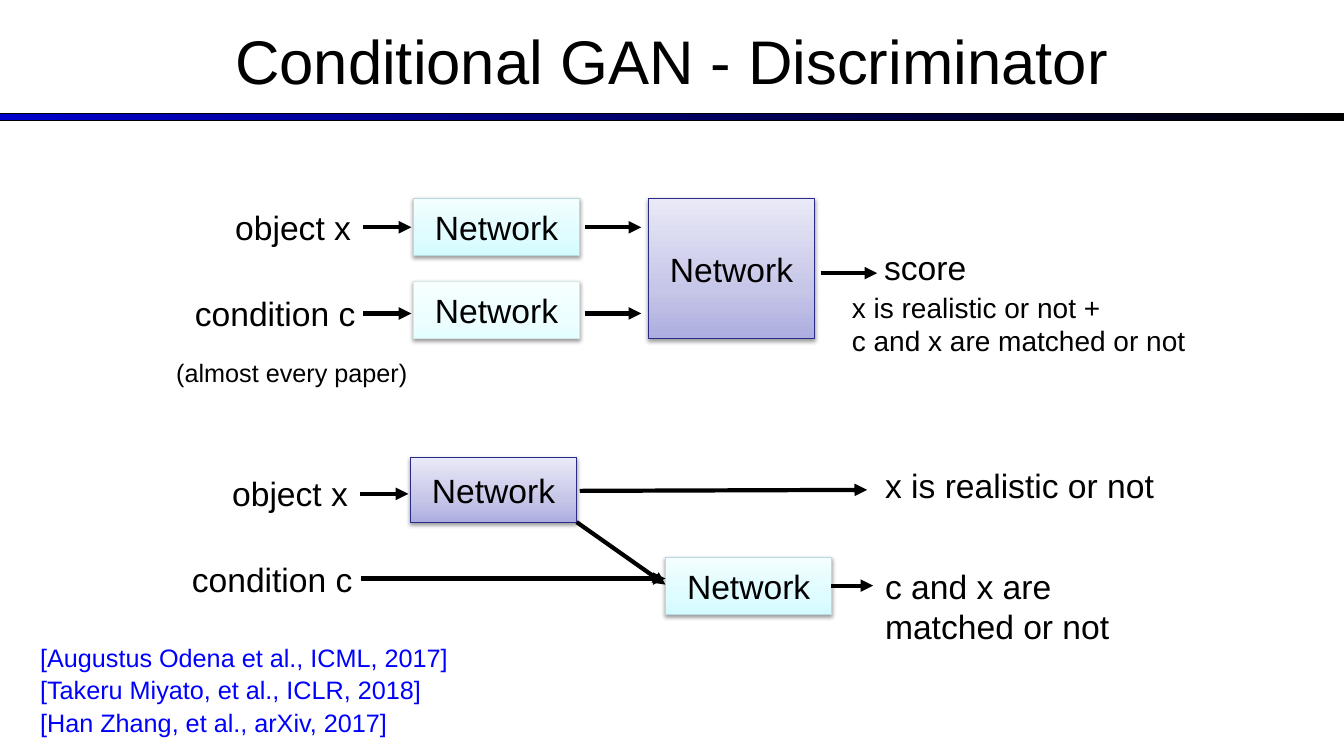
import collections

import lxml.etree
import pptx
import pptx.dml.color
import pptx.enum.shapes
import pptx.enum.text
import pptx.oxml
import pptx.oxml.ns
import pptx.util

COLUMNS, ROWS = 133.3, 75
SLIDE_WIDTH, SLIDE_HEIGHT = pptx.util.Inches(13.33), pptx.util.Inches(7.5)
FONT = "Arial"
COLORS = {"text": "000000", "citation": "0000FF", "rule": "0000CC"}
NETWORK_WIDTH, NETWORK_HEIGHT = 16.5, 5.7

Style = collections.namedtuple("Style", "stops line")
STYLES = {
    "violet": Style([(0, "ADADE0"), (35, "C6C6E8"), (100, "E9E9F7")], "2A2A88"),
    "cyan": Style([(0, "D3FBFF"), (35, "DFFCFF"), (100, "F2FEFF")], "B6DCDF"),
    "pale": Style([(0, "E5FEFF"), (35, "ECFEFF"), (100, "F7FFFF")], "D4E8E9"),
}
ALIGN = pptx.enum.text.PP_ALIGN
ANCHOR = pptx.enum.text.MSO_ANCHOR
NAMESPACE = pptx.oxml.ns.nsdecls("a")

# A region has its top left corner in grid columns and rows.
Region = collections.namedtuple("Region", "slide column row")


def locate(region, column, row):
    """Turn a grid point of the region into slide coordinates."""
    return (
        round((region.column + column) / COLUMNS * SLIDE_WIDTH),
        round((region.row + row) / ROWS * SLIDE_HEIGHT),
    )


def extent(width, height):
    return round(width / COLUMNS * SLIDE_WIDTH), round(height / ROWS * SLIDE_HEIGHT)


def rgb(value):
    return pptx.dml.color.RGBColor.from_string(value)


def write(text_frame, lines, size, color="text", align=ALIGN.LEFT):
    for index, line in enumerate(lines):
        paragraph = text_frame.add_paragraph() if index else text_frame.paragraphs[0]
        paragraph.alignment = align
        run = paragraph.add_run()
        run.text = line
        run.font.name = FONT
        run.font.size = pptx.util.Pt(size)
        run.font.color.rgb = rgb(COLORS[color])


def add_label(region, column, row, width, height, lines, size=24, **format_options):
    label = region.slide.shapes.add_textbox(
        *locate(region, column, row), *extent(width, height)
    )
    label.text_frame.word_wrap = True
    write(label.text_frame, lines, size, **format_options)


def add_gradient_box(region, column, row, width, height, style, angle):
    box = region.slide.shapes.add_shape(
        pptx.enum.shapes.MSO_SHAPE.RECTANGLE,
        *locate(region, column, row),
        *extent(width, height),
    )
    box.shadow.inherit = False
    box.line.color.rgb = rgb(style.line)
    box.line.width = pptx.util.Pt(0.75)
    stops = "".join(
        f'<a:gs pos="{position * 1000}"><a:srgbClr val="{color}"/></a:gs>'
        for position, color in style.stops
    )
    gradient = pptx.oxml.parse_xml(
        f'<a:gradFill {NAMESPACE} rotWithShape="1"><a:gsLst>{stops}</a:gsLst>'
        f'<a:lin ang="{angle * 60000}" scaled="0"/></a:gradFill>'
    )
    box._element.spPr.find(pptx.oxml.ns.qn("a:prstGeom")).addnext(gradient)
    return box


def add_network(region, column, row, style, height=NETWORK_HEIGHT):
    network = add_gradient_box(
        region, column, row, NETWORK_WIDTH, height, STYLES[style], 270
    )
    effects = network._element.spPr.find(pptx.oxml.ns.qn("a:effectLst"))
    effects.append(pptx.oxml.parse_xml(
        f'<a:outerShdw {NAMESPACE} blurRad="39370" dist="20320" dir="5400000" '
        'rotWithShape="0"><a:srgbClr val="000000"><a:alpha val="38000"/>'
        "</a:srgbClr></a:outerShdw>"
    ))
    network.text_frame.vertical_anchor = ANCHOR.MIDDLE
    write(network.text_frame, ["Network"], 24, align=ALIGN.CENTER)


def add_arrow(region, start, end):
    arrow = region.slide.shapes.add_connector(
        pptx.enum.shapes.MSO_CONNECTOR.STRAIGHT,
        *locate(region, *start),
        *locate(region, *end),
    )
    arrow.line.color.rgb = rgb(COLORS["text"])
    arrow.line.width = pptx.util.Pt(3)
    line = arrow.line._get_or_add_ln()
    lxml.etree.SubElement(line, pptx.oxml.ns.qn("a:tailEnd"), type="triangle")
    lxml.etree.SubElement(arrow._element.spPr, pptx.oxml.ns.qn("a:effectLst"))


def add_inputs(region, column, row):
    add_label(region, column, row, 21, 5, ["object x"], align=ALIGN.RIGHT)
    add_label(region, column + 2, row + 8.6, 21, 5, ["condition c"], align=ALIGN.CENTER)


def add_header(region):
    rule = Style([(0, COLORS["rule"]), (100, COLORS["text"])], COLORS["text"])
    add_gradient_box(region, 0, 11.3, COLUMNS, 0.7, rule, 0)
    title = region.slide.shapes.title
    title.left, title.top = locate(region, 0, -0.3)
    title.width, title.height = extent(COLUMNS, 12.5)
    title.text_frame.vertical_anchor = ANCHOR.MIDDLE
    write(title.text_frame, ["Conditional GAN - Discriminator"], 44, align=ALIGN.CENTER)


def add_joint_scheme(region):
    """Both inputs are embedded, then merged into a single score."""
    add_inputs(region, 0.3, 0.3)
    add_network(region, 26.5, 0, "cyan")
    add_network(region, 26.5, 8.2, "pale")
    add_network(region, 49.8, 0, "violet", height=13.9)
    for row in (2.85, 11.4):
        add_arrow(region, (21.5, row), (26.3, row))
        add_arrow(region, (43.5, row), (49.1, row))
    add_arrow(region, (66.9, 7.4), (72.5, 7.4))
    add_label(region, 72.2, 4.3, 19.3, 5, ["score"])
    add_label(region, 69, 8.6, 36.2, 7.7,
              ["x is realistic or not +", "c and x are matched or not"], size=20)
    add_label(region, 2, 15.3, 26, 4, ["(almost every paper)"], size=18)


def add_split_scheme(region):
    """Realism and matching are judged by separate outputs."""
    add_inputs(region, 0, 1)
    add_network(region, 26.2, 0, "violet", height=6.4)
    add_network(region, 51.5, 9.9, "cyan")
    for start, end in (
        ((21.2, 3.6), (26, 3.6)),
        ((21.3, 12), (51.5, 12)),
        ((43, 3.3), (71.5, 3.2)),
        ((42.7, 6.4), (51.5, 12.6)),
        ((67.9, 12.7), (72.1, 12.7)),
    ):
        add_arrow(region, start, end)
    add_label(region, 72.3, 0.2, 30.6, 5, ["x is realistic or not"])
    add_label(region, 72.3, 10.2, 30.6, 9.1, ["c and x are matched or not"])


def add_citations(region):
    for index, citation in enumerate((
        "[Augustus Odena et al., ICML, 2017]",
        "[Takeru Miyato, et al., ICLR, 2018]",
        "[Han Zhang, et al., arXiv, 2017]",
    )):
        add_label(region, 0, index * 3.25, 43, 4, [citation], size=18, color="citation")


def main():
    presentation = pptx.Presentation()
    presentation.slide_width, presentation.slide_height = SLIDE_WIDTH, SLIDE_HEIGHT
    slide = presentation.slides.add_slide(presentation.slide_layouts[5])
    add_header(Region(slide, 0, 0))
    add_joint_scheme(Region(slide, 14.5, 19.7))
    add_split_scheme(Region(slide, 14.5, 45.4))
    add_citations(Region(slide, 3, 63.2))
    presentation.save("out.pptx")


if __name__ == "__main__":
    main()
